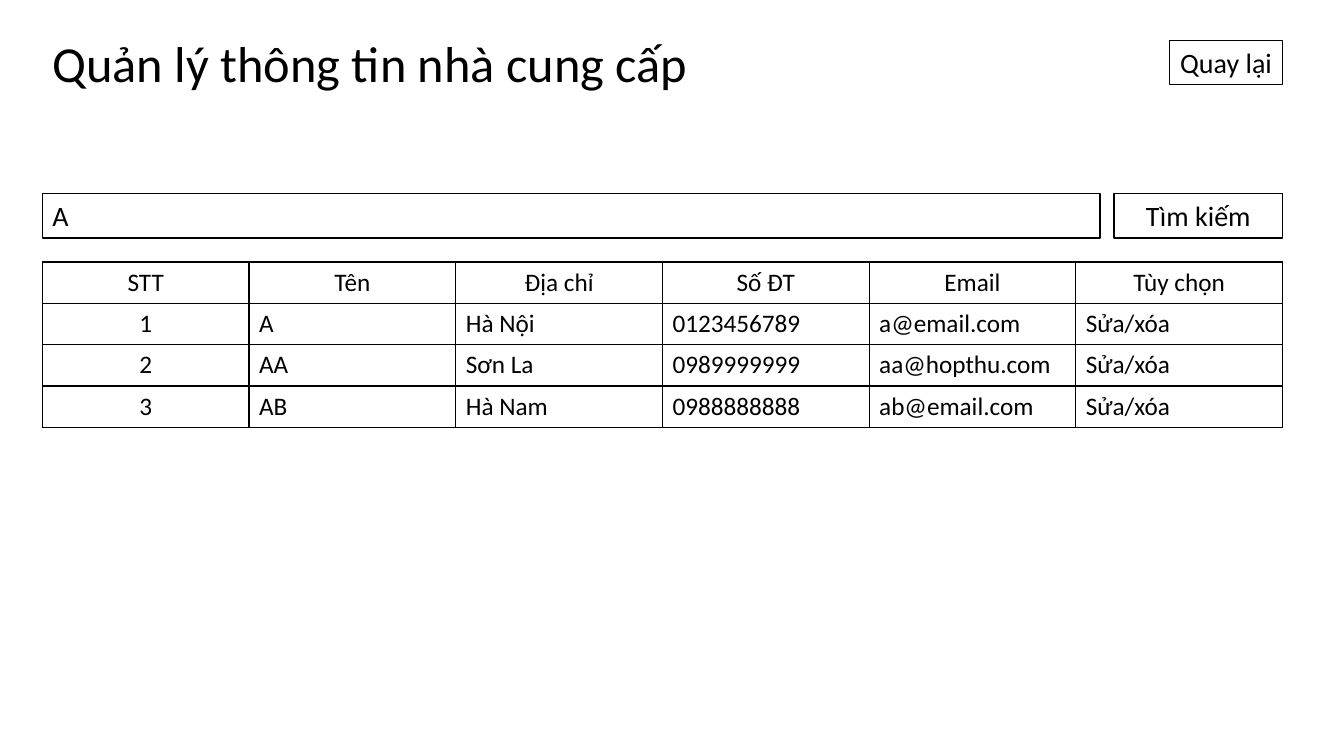
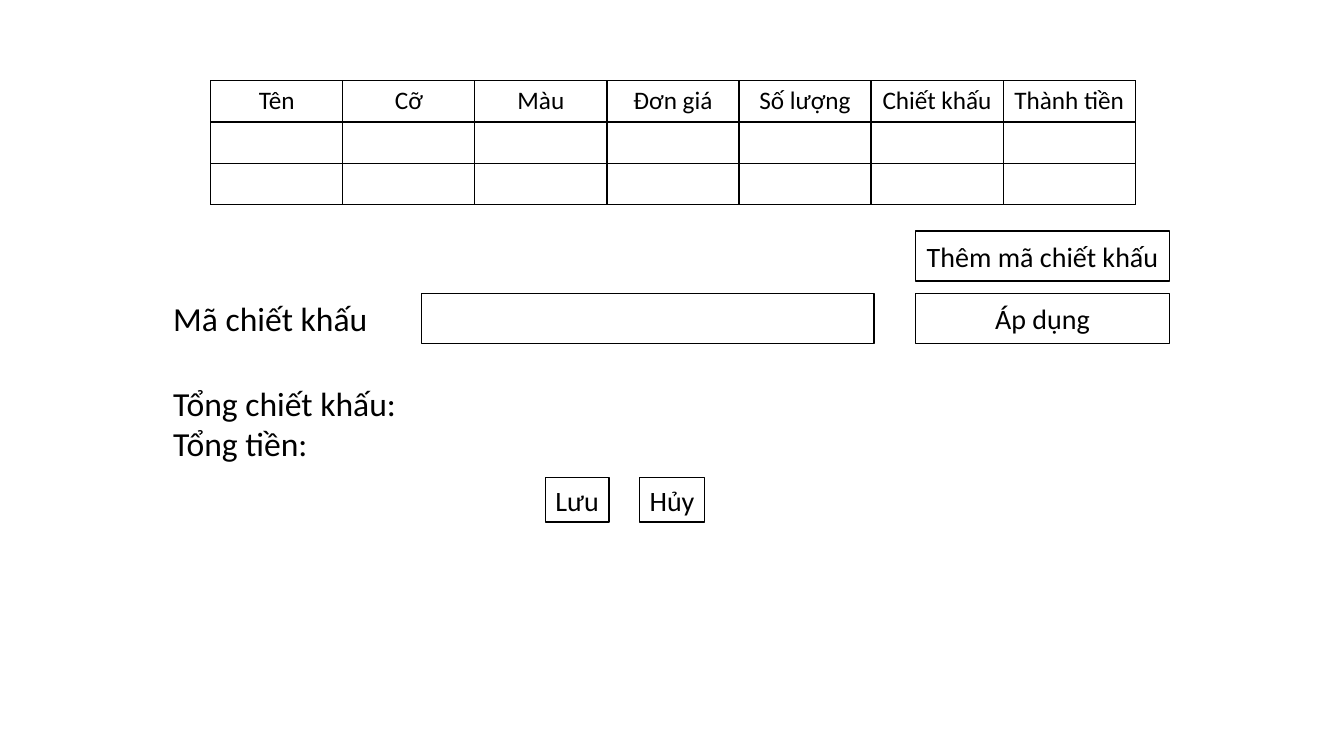
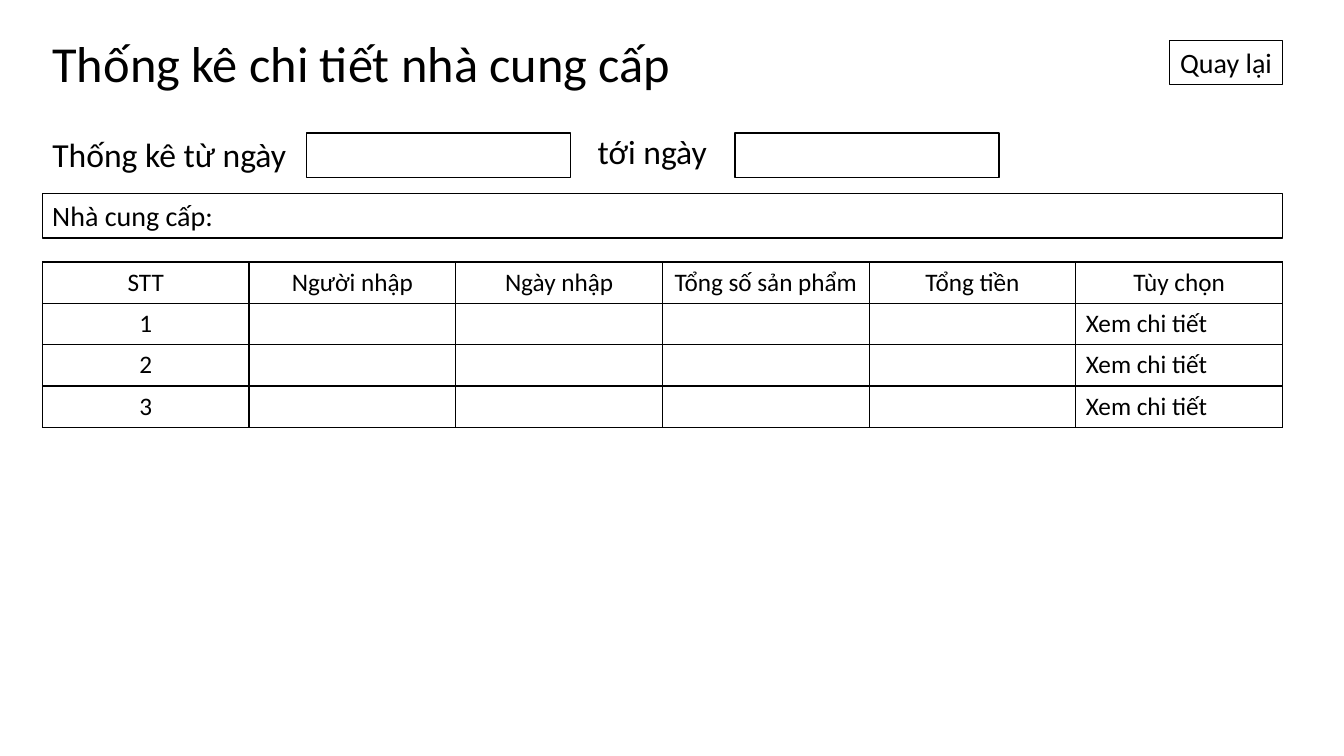
import pptx
import pptx.util
import pptx.dml.color
import pptx.enum.shapes
import pptx.enum.text
import pptx.oxml
import pptx.oxml.ns

Inches, Pt = pptx.util.Inches, pptx.util.Pt
ALIGN = pptx.enum.text.PP_ALIGN
ANCHOR = pptx.enum.text.MSO_ANCHOR

# Shared style
BLACK = pptx.dml.color.RGBColor(0x00, 0x00, 0x00)
WHITE = pptx.dml.color.RGBColor(0xFF, 0xFF, 0xFF)
FONT = "Calibri"
TITLE_SIZE, LABEL_SIZE, BOX_SIZE, CELL_SIZE = 36, 24, 20, 18
LINE_WIDTH = Pt(1)
TITLE_ONLY, BLANK = 5, 6

# Shared geometry, in inches
LEFT, RIGHT = 0.42, 12.72
FULL_WIDTH = RIGHT - LEFT
BOX_HEIGHT, TALL_BOX = 0.44, 0.5
ROW_HEIGHT = 0.41
SEARCH_TOP, LIST_TOP = 1.92, 2.6
SEARCH_WIDTH = 1.67
DATE_TOP, DATE_WIDTH = 1.32, 2.62
DISCOUNT_TOP, DISCOUNT_PITCH = 2.91, 0.62
ACTION_LEFT, ACTION_WIDTH = 9.08, 2.52
SAVE_TOP = 4.74

# Content
SUPPLIERS = [
    ("STT", "Tên", "Địa chỉ", "Số ĐT", "Email", "Tùy chọn"),
    ("1", "A", "Hà Nội", "0123456789", "a@email.com", "Sửa/xóa"),
    ("2", "AA", "Sơn La", "0989999999", "aa@hopthu.com", "Sửa/xóa"),
    ("3", "AB", "Hà Nam", "0988888888", "ab@email.com", "Sửa/xóa"),
]
ORDER_HEADER = ("Tên", "Cỡ", "Màu", "Đơn giá", "Số lượng", "Chiết khấu", "Thành tiền")
ORDER = [ORDER_HEADER] + [("",) * len(ORDER_HEADER)] * 2
IMPORTS = [("STT", "Người nhập", "Ngày nhập", "Tổng số sản phẩm", "Tổng tiền", "Tùy chọn")]
IMPORTS += [(str(number), "", "", "", "", "Xem chi tiết") for number in (1, 2, 3)]
DISCOUNT_ACTIONS = ("Thêm mã chiết khấu", "Áp dụng")
SAVE_ACTIONS = [("Lưu", 5.41, 0.63), ("Hủy", 6.34, 0.65)]
DATE_RANGE = [  # label, label left, label top, label width, field left
    ("Thống kê từ ngày", LEFT, 1.28, 2.62, 3.04),
    ("tới ngày", 5.83, 1.25, 1.29, 7.29),
]


def style(paragraph, size, align=ALIGN.LEFT):
    paragraph.alignment = align
    paragraph.font.size = Pt(size)
    paragraph.font.name = FONT
    paragraph.font.color.rgb = BLACK


def add_label(slide, lines, left, top, width, height=0.5):
    frame = slide.shapes.add_textbox(*map(Inches, (left, top, width, height))).text_frame
    frame.word_wrap = False
    frame.text = "\n".join(lines)
    for paragraph in frame.paragraphs:
        style(paragraph, LABEL_SIZE)


def add_box(slide, left, top, width, height=BOX_HEIGHT, text="", align=ALIGN.LEFT):
    box = slide.shapes.add_shape(
        pptx.enum.shapes.MSO_SHAPE.RECTANGLE, *map(Inches, (left, top, width, height)))
    box.shadow.inherit = False
    box.fill.solid()
    box.fill.fore_color.rgb = WHITE
    box.line.color.rgb = BLACK
    box.line.width = LINE_WIDTH
    frame = box.text_frame
    frame.word_wrap = align == ALIGN.LEFT
    frame.vertical_anchor = ANCHOR.MIDDLE
    frame.text = text
    style(frame.paragraphs[0], BOX_SIZE, align)


def add_button(slide, text, left, top, width, height=BOX_HEIGHT):
    add_box(slide, left, top, width, height, text, ALIGN.CENTER)


def add_borders(cell):
    for side in ("lnL", "lnR", "lnT", "lnB"):
        cell._tc.get_or_add_tcPr().append(pptx.oxml.parse_xml(
            f'<a:{side} {pptx.oxml.ns.nsdecls("a")} w="{LINE_WIDTH}"><a:solidFill>'
            f'<a:srgbClr val="{BLACK}"/></a:solidFill></a:{side}>'))


def add_grid(slide, rows, left, top, column_width):
    columns = len(rows[0])
    table = slide.shapes.add_table(
        len(rows), columns, Inches(left), Inches(top),
        Inches(column_width * columns), Inches(ROW_HEIGHT * len(rows))).table
    table.first_row = table.horz_banding = False
    for column in table.columns:
        column.width = Inches(column_width)
    for r, row in enumerate(rows):
        table.rows[r].height = Inches(ROW_HEIGHT)
        for c, text in enumerate(row):
            cell = table.cell(r, c)
            add_borders(cell)
            cell.fill.background()
            cell.text = text
            centred = r == 0 or c == 0
            style(cell.text_frame.paragraphs[0], CELL_SIZE,
                  ALIGN.CENTER if centred else ALIGN.LEFT)


def add_titled_slide(deck, text):
    slide = deck.slides.add_slide(deck.slide_layouts[TITLE_ONLY])
    title = slide.shapes.title
    title.left, title.top, title.width, title.height = map(Inches, (LEFT, 0.27, 10, 0.71))
    title.text_frame.text = text
    title.text_frame.auto_size = pptx.enum.text.MSO_AUTO_SIZE.NONE
    title.text_frame.vertical_anchor = ANCHOR.TOP
    style(title.text_frame.paragraphs[0], TITLE_SIZE)
    add_button(slide, "Quay lại", 11.6, 0.4, 1.12)
    return slide


def build_suppliers(deck):
    slide = add_titled_slide(deck, "Quản lý thông tin nhà cung cấp")
    add_box(slide, LEFT, SEARCH_TOP, 10.49, text="A")
    add_button(slide, "Tìm kiếm", RIGHT - SEARCH_WIDTH, SEARCH_TOP, SEARCH_WIDTH)
    add_grid(slide, SUPPLIERS, LEFT, LIST_TOP, FULL_WIDTH / len(SUPPLIERS[0]))


def build_order(deck):
    slide = deck.slides.add_slide(deck.slide_layouts[BLANK])
    add_grid(slide, ORDER, 2.09, 0.8, 1.31)
    # Discount code
    add_label(slide, ["Mã chiết khấu"], 1.62, DISCOUNT_TOP, 2.14)
    add_box(slide, 4.18, DISCOUNT_TOP, 4.49, TALL_BOX)
    for i, text in enumerate(DISCOUNT_ACTIONS):
        add_button(slide, text, ACTION_LEFT, DISCOUNT_TOP + (i - 1) * DISCOUNT_PITCH,
                   ACTION_WIDTH, TALL_BOX)
    # Totals and closing buttons
    add_label(slide, ["Tổng chiết khấu:", "Tổng tiền:"], 1.62, 3.75, 2.43, 0.91)
    for text, left, width in SAVE_ACTIONS:
        add_button(slide, text, left, SAVE_TOP, width)


def build_statistics(deck):
    slide = add_titled_slide(deck, "Thống kê chi tiết nhà cung cấp")
    for text, left, top, width, field_left in DATE_RANGE:
        add_label(slide, [text], left, top, width)
        add_box(slide, field_left, DATE_TOP, DATE_WIDTH)
    add_box(slide, LEFT, SEARCH_TOP, FULL_WIDTH, text="Nhà cung cấp:")
    add_grid(slide, IMPORTS, LEFT, LIST_TOP, FULL_WIDTH / len(IMPORTS[0]))


def main():
    deck = pptx.Presentation()
    deck.slide_width, deck.slide_height = Inches(13.33), Inches(7.5)
    build_suppliers(deck)
    build_order(deck)
    build_statistics(deck)
    deck.save("out.pptx")


if __name__ == "__main__":
    main()
